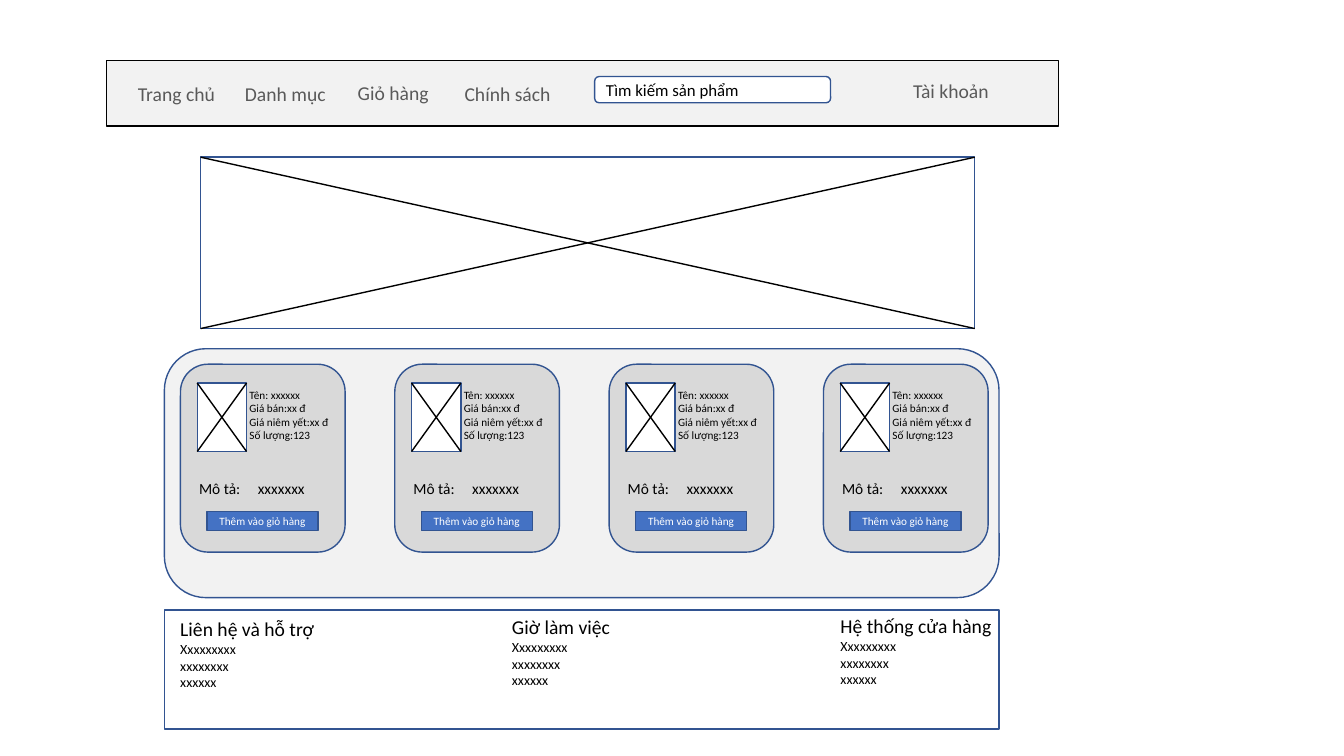
"""Build the wireframe slide of an online shop home page."""
from lxml import etree
from pptx import Presentation
from pptx.dml.color import RGBColor
from pptx.enum.shapes import MSO_CONNECTOR, MSO_SHAPE
from pptx.enum.text import MSO_ANCHOR, MSO_AUTO_SIZE, PP_ALIGN
from pptx.oxml.ns import qn
from pptx.util import Pt

RECTANGLE = MSO_SHAPE.RECTANGLE
ROUNDED = MSO_SHAPE.ROUNDED_RECTANGLE
STRAIGHT = MSO_CONNECTOR.STRAIGHT
MIDDLE = MSO_ANCHOR.MIDDLE
GROW = MSO_AUTO_SIZE.SHAPE_TO_FIT_TEXT
LEFT, CENTER = PP_ALIGN.LEFT, PP_ALIGN.CENTER

BLACK = RGBColor(0x00, 0x00, 0x00)
WHITE = RGBColor(0xFF, 0xFF, 0xFF)
PALE_GRAY = RGBColor(0xF2, 0xF2, 0xF2)
CARD_GRAY = RGBColor(0xD9, 0xD9, 0xD9)
MENU_GRAY = RGBColor(0x59, 0x59, 0x59)
BLUE = RGBColor(0x44, 0x72, 0xC4)
DARK_BLUE = RGBColor(0x32, 0x54, 0x91)

MENU = [("Trang chủ", 91.4, 54.7), ("Danh mục", 167.8, 54.7),
        ("Giỏ hàng", 248.4, 54), ("Chính sách", 324.7, 54.7),
        ("Tài khoản", 645.1, 52.6)]
PRODUCT_LINES = ["Tên: xxxxxx", "Giá bán:xx đ", "Giá niêm yết:xx đ", "Số lượng:123"]
FOOTER = [("Liên hệ và hỗ trợ", 121.7, 437), ("Giờ làm việc", 358.6, 435.6),
          ("Hệ thống cửa hàng", 593.3, 434.9)]
FOOTER_LINES = ["Xxxxxxxxx", "xxxxxxxx", "xxxxxx"]
CARD_COUNT, CARD_LEFT, CARD_PITCH = 4, 128.9, 153.1


def write(frame, text, *, size, color=BLACK, font="Calibri", align=LEFT,
          level=0, space_before=0, tab=None):
    """Write one formatted paragraph, filling the empty first one if there is one."""
    paragraph = frame.paragraphs[0] if not frame.text else frame.add_paragraph()
    paragraph.alignment = align
    paragraph.level = level
    paragraph.space_before = Pt(space_before)
    if tab:
        stops = etree.SubElement(paragraph._p.get_or_add_pPr(), qn("a:tabLst"))
        etree.SubElement(stops, qn("a:tab"), pos=str(Pt(tab)), algn="l")
    run = paragraph.add_run()
    run.text = text
    run.font.name = font
    run.font.size = Pt(size)
    run.font.color.rgb = color


class Wireframe:
    """Hold the line style and the current slide."""

    def __init__(self, slide, outline=DARK_BLUE, weight=1):
        """Remember the slide and the default outline."""
        self.slide = slide
        self.outline = outline
        self.weight = weight

    def box(self, left, top, width, height, fill=WHITE, kind=RECTANGLE, outline=None):
        """Add an outlined shape and return its text frame."""
        shape = self.slide.shapes.add_shape(
            kind, Pt(left), Pt(top), Pt(width), Pt(height))
        shape.shadow.inherit = False
        shape.fill.solid()
        shape.fill.fore_color.rgb = fill
        shape.line.color.rgb = outline or self.outline
        shape.line.width = Pt(self.weight)
        shape.text_frame.vertical_anchor = MIDDLE
        return shape.text_frame

    def label(self, left, top, width, height):
        """Add a wrapping text box and return its text frame."""
        frame = self.slide.shapes.add_textbox(
            Pt(left), Pt(top), Pt(width), Pt(height)).text_frame
        frame.word_wrap = True
        frame.auto_size = GROW
        return frame

    def line(self, x1, y1, x2, y2):
        """Add a straight black line."""
        connector = self.slide.shapes.add_connector(
            STRAIGHT, Pt(x1), Pt(y1), Pt(x2), Pt(y2))
        connector.line.color.rgb = BLACK
        connector.line.width = Pt(self.weight)
        etree.SubElement(connector._element.spPr, qn("a:effectLst"))

    def image_box(self, left, top, width, height):
        """Add a crossed rectangle that stands for an image."""
        self.box(left, top, width, height)
        self.line(left, top, left + width, top + height)
        self.line(left, top + height, left + width, top)

    def product_card(self, left):
        """Add one product card with image, details and button."""
        self.box(left, 260.2, 117.6, 134.2, CARD_GRAY, ROUNDED)
        self.image_box(left + 12, 273.6, 35.2, 48.9)
        details = self.label(left + 6.2, 273.6, 127.4, 85.7)
        for text in PRODUCT_LINES:
            write(details, text, size=8, level=1)
        write(details, "Mô tả:\txxxxxxx", size=11, space_before=26.8, tab=42)
        button = self.box(left + 19, 365.3, 79.2, 13.7, BLUE)
        write(button, "Thêm vào giỏ hàng", size=8, color=WHITE, align=CENTER)


def main():
    """Build and save the slide."""
    presentation = Presentation()
    presentation.slide_width, presentation.slide_height = Pt(960), Pt(540)
    slide = presentation.slides.add_slide(presentation.slide_layouts[6])
    page = Wireframe(slide)

    page.box(76.3, 43.2, 679.7, 46.8, PALE_GRAY, outline=BLACK)
    for text, left, top in MENU:
        write(page.label(left, top, 84, 24.5), text, size=14, color=MENU_GRAY)
    search = page.box(424.8, 54.7, 168.5, 18.7, kind=ROUNDED)
    write(search, "Tìm kiếm sản phẩm", size=12)

    page.image_box(143.3, 112.3, 553, 122.4)

    page.box(117.4, 249.1, 596.2, 177.8, PALE_GRAY, ROUNDED)
    for index in range(CARD_COUNT):
        page.product_card(CARD_LEFT + index * CARD_PITCH)

    page.box(117.4, 435.6, 596.2, 85)
    for heading, left, top in FOOTER:
        column = page.label(left, top, 134.6, 60.5)
        write(column, heading, size=14)
        for text in FOOTER_LINES:
            write(column, text, size=10)

    presentation.save("out.pptx")


if __name__ == "__main__":
    main()
